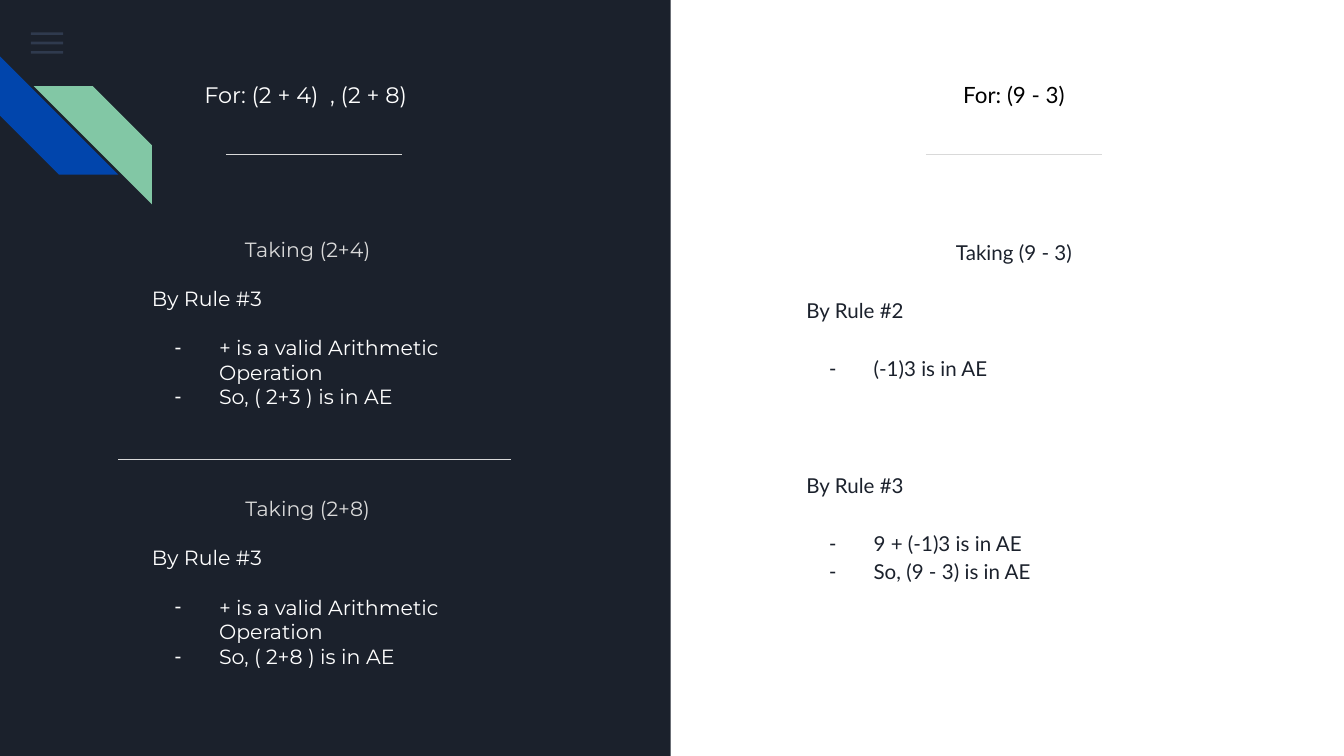
import pptx
import pptx.util
import pptx.dml.color
import pptx.enum.shapes
import pptx.enum.text
import pptx.oxml
import pptx.oxml.ns
from lxml import etree

Inches = pptx.util.Inches
Pt = pptx.util.Pt
RGBColor = pptx.dml.color.RGBColor
Shape = pptx.enum.shapes.MSO_SHAPE
Align = pptx.enum.text.PP_ALIGN
qn = pptx.oxml.ns.qn

NAVY = RGBColor(0x1B, 0x21, 0x2C)
WHITE = RGBColor(0xFF, 0xFF, 0xFF)
BLACK = RGBColor(0x00, 0x00, 0x00)
GRAY = RGBColor(0xD9, 0xD9, 0xD9)
SLATE = RGBColor(0x55, 0x68, 0x8B)
BLUE = RGBColor(0x01, 0x45, 0xAC)
GREEN = RGBColor(0x82, 0xC7, 0xA5)

SLIDE_WIDTH = 10
SLIDE_HEIGHT = SLIDE_WIDTH * 9 / 16
COMPARISON_LAYOUT = 4  # a title and four body placeholders
LEFT_FONT, RIGHT_FONT = "Montserrat", "Lato"
HEADING_SIZE, BODY_SIZE = 12, 11


class SlideBuilder:
    def __init__(self, presentation):
        layout = presentation.slide_layouts[COMPARISON_LAYOUT]
        self.slide = presentation.slides.add_slide(layout)
        self.slide.background.fill.solid()
        self.slide.background.fill.fore_color.rgb = NAVY

    def shape(self, kind, left, top, width, height, color, rotation=0, alpha=None):
        shape = self.slide.shapes.add_shape(
            kind, Inches(left), Inches(top), Inches(width), Inches(height))
        shape.shadow.inherit = False
        shape.fill.solid()
        shape.fill.fore_color.rgb = color
        shape.line.fill.background()
        shape.rotation = rotation
        if alpha is not None:
            srgb = shape.element.spPr.find(qn("a:solidFill")).find(qn("a:srgbClr"))
            etree.SubElement(srgb, qn("a:alpha")).set("val", str(alpha * 1000))

    def rule(self, left, right, top):
        line = self.slide.shapes.add_connector(
            pptx.enum.shapes.MSO_CONNECTOR.STRAIGHT,
            Inches(left), Inches(top), Inches(right), Inches(top))
        line.line.color.rgb = GRAY
        line.line.width = Pt(0.75)
        etree.SubElement(line.element.spPr, qn("a:effectLst"))

    def text(self, index, left, top, width, height, paragraphs, font, size,
             line_spacing=1.0):
        """Each paragraph is (text, color, alignment, space before, bulleted)."""
        placeholder = self.slide.placeholders[index]
        placeholder.left, placeholder.top = Inches(left), Inches(top)
        placeholder.width, placeholder.height = Inches(width), Inches(height)
        # Bring the text in front of the panels
        self.slide.shapes.element.append(placeholder.element)

        frame = placeholder.text_frame
        frame.word_wrap = True
        frame.auto_size = pptx.enum.text.MSO_AUTO_SIZE.NONE
        frame.vertical_anchor = pptx.enum.text.MSO_ANCHOR.TOP
        frame.margin_left = frame.margin_right = Inches(0.1)
        frame.margin_top = frame.margin_bottom = Inches(0.1)

        for number, (text, color, alignment, before, bulleted) in enumerate(paragraphs):
            paragraph = frame.add_paragraph() if number else frame.paragraphs[0]
            paragraph.text = text
            self.bullet(paragraph, color, bulleted)
            paragraph.alignment = alignment
            paragraph.line_spacing = line_spacing
            paragraph.space_before = Pt(before)
            paragraph.space_after = Pt(0)
            paragraph.font.name = font
            paragraph.font.size = Pt(size)
            paragraph.font.bold = False
            paragraph.font.color.rgb = color

    def bullet(self, paragraph, color, bulleted):
        properties = paragraph._p.get_or_add_pPr()
        properties.set("marL", str(Inches(0.5 if bulleted else 0)))
        properties.set("indent", str(Inches(-0.33 if bulleted else 0)))
        if bulleted:
            bullet_color = etree.SubElement(properties, qn("a:buClr"))
            etree.SubElement(bullet_color, qn("a:srgbClr")).set("val", str(color))
            etree.SubElement(properties, qn("a:buChar")).set("char", "-")
        else:
            etree.SubElement(properties, qn("a:buNone"))

    def heading(self, index, left, text, font, color, alignment):
        self.text(index, left, 0.5, 3.29, 0.56,
                  [(text, color, alignment, 0, False)], font, HEADING_SIZE)

    def sum_proof(self, index, top, taken, result):
        gap = 13.2  # one line of text
        self.text(index, 1.03, top, 2.52, 1.67, [
            (f"Taking {taken}", GRAY, Align.CENTER, 0, False),
            ("By Rule #3", WHITE, Align.LEFT, gap, False),
            ("+ is a valid Arithmetic Operation", WHITE, Align.LEFT, gap, True),
            (f"So, {result} is in AE", WHITE, Align.LEFT, 0, True),
        ], LEFT_FONT, BODY_SIZE)


def main():
    presentation = pptx.Presentation()
    presentation.slide_width = Inches(SLIDE_WIDTH)
    presentation.slide_height = Inches(SLIDE_HEIGHT)
    builder = SlideBuilder(presentation)

    # Right panel, menu icon and corner stripes
    builder.shape(Shape.RECTANGLE, 4.99, 0, 5.01, SLIDE_HEIGHT, WHITE)
    for bar in range(3):
        builder.shape(Shape.RECTANGLE, 0.23, 0.24 + 0.07 * bar, 0.24, 0.02,
                      SLATE, alpha=36)
    builder.shape(Shape.DIAGONAL_STRIPE, 0, 0.42, 0.88, 0.88, BLUE, rotation=270)
    builder.shape(Shape.DIAGONAL_STRIPE, 0.25, 0.64, 0.88, 0.88, GREEN, rotation=90)

    # Left column: the two sums
    builder.heading(0, 1.42, "For: (2 + 4)  , (2 + 8)", LEFT_FONT, WHITE, Align.LEFT)
    builder.sum_proof(1, 1.66, "(2+4)", "( 2+3 )")
    builder.sum_proof(2, 3.59, "(2+8)", "( 2+8 )")

    # Right column: the difference
    builder.heading(3, 5.9, "For: (9 - 3)", RIGHT_FONT, BLACK, Align.CENTER)
    gap, section_gap = 16, 47.2
    builder.text(4, 5.9, 1.66, 3.29, 2.83, [
        ("Taking (9 - 3)", NAVY, Align.CENTER, 0, False),
        ("By Rule #2", NAVY, Align.LEFT, gap, False),
        ("(-1)3 is in AE", NAVY, Align.LEFT, gap, True),
        ("By Rule #3", NAVY, Align.LEFT, section_gap, False),
        ("9 + (-1)3 is in AE", NAVY, Align.LEFT, gap, True),
        ("So, (9 - 3) is in AE", NAVY, Align.LEFT, 0, True),
    ], RIGHT_FONT, BODY_SIZE, line_spacing=1.15)

    # Dividers
    builder.rule(0.88, 3.8, 3.42)
    for left in (1.68, 6.89):
        builder.rule(left, left + 1.31, 1.15)

    presentation.save("out.pptx")


if __name__ == "__main__":
    main()
